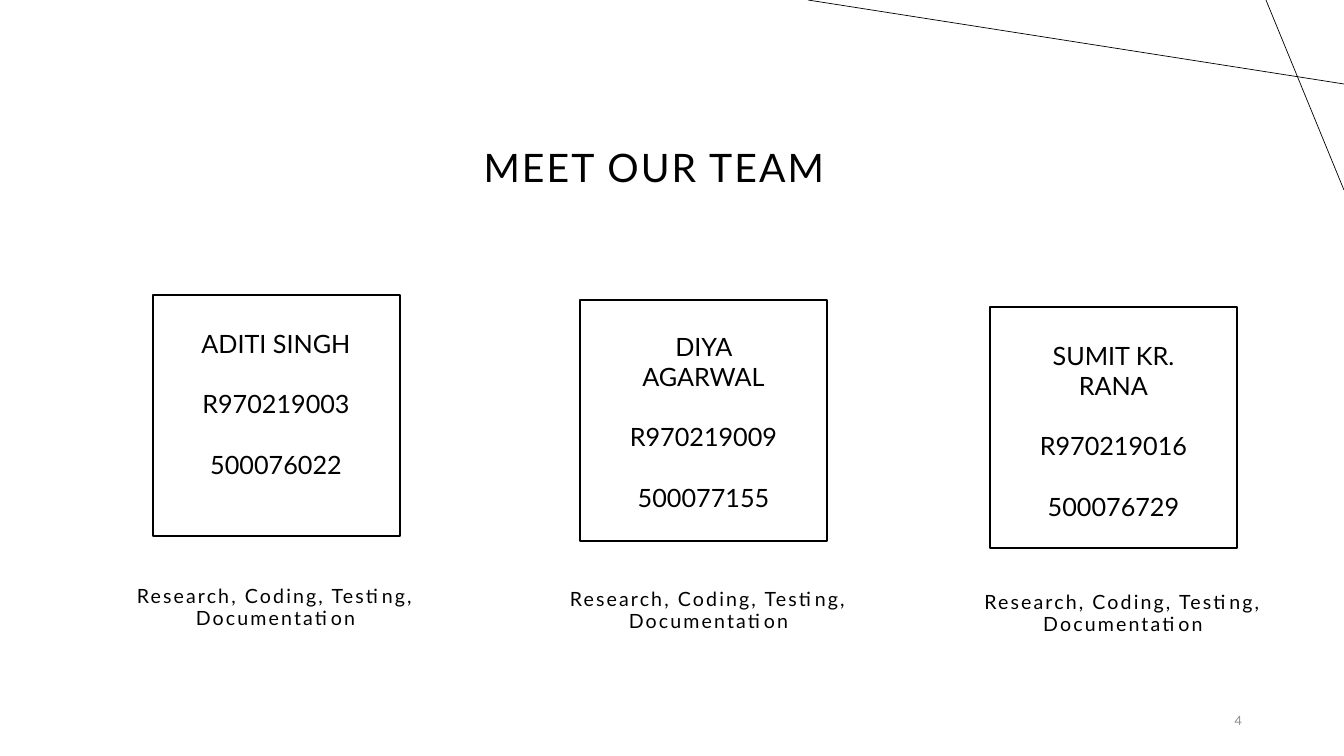
from dataclasses import dataclass

from lxml import etree
from pptx import Presentation
from pptx.dml.color import RGBColor
from pptx.enum.shapes import MSO_CONNECTOR, MSO_SHAPE
from pptx.enum.text import MSO_ANCHOR, MSO_AUTO_SIZE, PP_ALIGN
from pptx.oxml.ns import qn
from pptx.util import Emu, Pt

PX = 914400 / 100.8
STRAIGHT = MSO_CONNECTOR.STRAIGHT
RECTANGLE = MSO_SHAPE.RECTANGLE
TOP, MIDDLE = MSO_ANCHOR.TOP, MSO_ANCHOR.MIDDLE
CENTER, RIGHT = PP_ALIGN.CENTER, PP_ALIGN.RIGHT
NO_AUTOFIT = MSO_AUTO_SIZE.NONE


@dataclass(frozen=True)
class Theme:
    font: str = "Lato"
    ink: RGBColor = RGBColor(0x00, 0x00, 0x00)
    muted: RGBColor = RGBColor(0x8C, 0x8C, 0x8C)
    paper: RGBColor = RGBColor(0xFF, 0xFF, 0xFF)
    title: int = 28
    member: int = 18
    role: int = 14
    page: int = 9
    tracking: int = 150


THEME = Theme()


def px(*lengths):
    """Turn whole pixels into EMU."""
    return [Emu(round(length * PX)) for length in lengths]


def write_text(shape, box, *lines, size, color=THEME.ink, align=CENTER,
               anchor=TOP, line_spacing=1.0, gap=0, tracking=0):
    """Place a text shape and fill it with one paragraph per line."""
    shape.left, shape.top, shape.width, shape.height = px(*box)
    frame = shape.text_frame
    frame.word_wrap = True
    frame.auto_size = NO_AUTOFIT
    frame.vertical_anchor = anchor
    frame.text = "\n".join(lines)
    for index, paragraph in enumerate(frame.paragraphs):
        properties = paragraph._p.get_or_add_pPr()
        properties.set("marL", "0")
        properties.set("indent", "0")
        etree.SubElement(properties, qn("a:buNone"))
        paragraph.alignment = align
        paragraph.line_spacing = line_spacing
        paragraph.space_before = Pt(gap if index else 0)
        for run in paragraph.runs:
            run.font.name = THEME.font
            run.font.size = Pt(size)
            run.font.bold = False
            run.font.color.rgb = color
            if tracking:
                run._r.get_or_add_rPr().set("spc", str(tracking))


presentation = Presentation()
presentation.slide_width, presentation.slide_height = px(1344, 756)
comparison_layout = presentation.slide_layouts[4]
slide = presentation.slides.add_slide(comparison_layout)
shapes = slide.shapes
title, *role_holders, spare_holder = slide.placeholders
spare_holder._element.getparent().remove(spare_holder._element)

# Corner lines
for ends in [(1344, 84, 808, 0), (1266, 0, 1344, 190)]:
    corner_line = shapes.add_connector(STRAIGHT, *px(*ends))
    corner_line.line.color.rgb = THEME.ink
    corner_line.line.width = Pt(0.5)
    etree.SubElement(corner_line._element.spPr, qn("a:effectLst"))

write_text(title, (190, 97, 928, 146), "MEET OUR TEAM", size=THEME.title,
           anchor=MIDDLE, line_spacing=0.9, tracking=THEME.tracking)

# Team: details, card corner, details box, role box
team = [
    (("ADITI SINGH", "R970219003", "500076022"),
     (153, 295), (186, 323, 180, 194), (120, 582, 311, 68)),
    (("DIYA AGARWAL", "R970219009", "500077155"),
     (580, 300), (606, 326, 195, 194), (542, 585, 333, 61)),
    (("SUMIT KR. RANA", "R970219016", "500076729"),
     (990, 307), (1009, 335, 209, 194), (952, 588, 342, 88)),
]
for role_holder, (details, corner, details_box, role_box) in zip(role_holders, team):
    card = shapes.add_shape(RECTANGLE, *px(*corner, 247, 241))
    card.shadow.inherit = False
    card.fill.solid()
    card.fill.fore_color.rgb = THEME.paper
    card.line.color.rgb = THEME.ink
    card.line.width = Pt(1)
    write_text(shapes.add_textbox(*px(*details_box)), details_box, *details,
               size=THEME.member, gap=21.6)
    write_text(role_holder, role_box, "Research, Coding, Testing, Documentation",
               size=THEME.role, line_spacing=0.9, tracking=THEME.tracking)

page_box = (950, 701, 302, 40)
write_text(shapes.add_textbox(*px(*page_box)), page_box, "4", size=THEME.page,
           color=THEME.muted, align=RIGHT, anchor=MIDDLE)

presentation.save("out.pptx")
